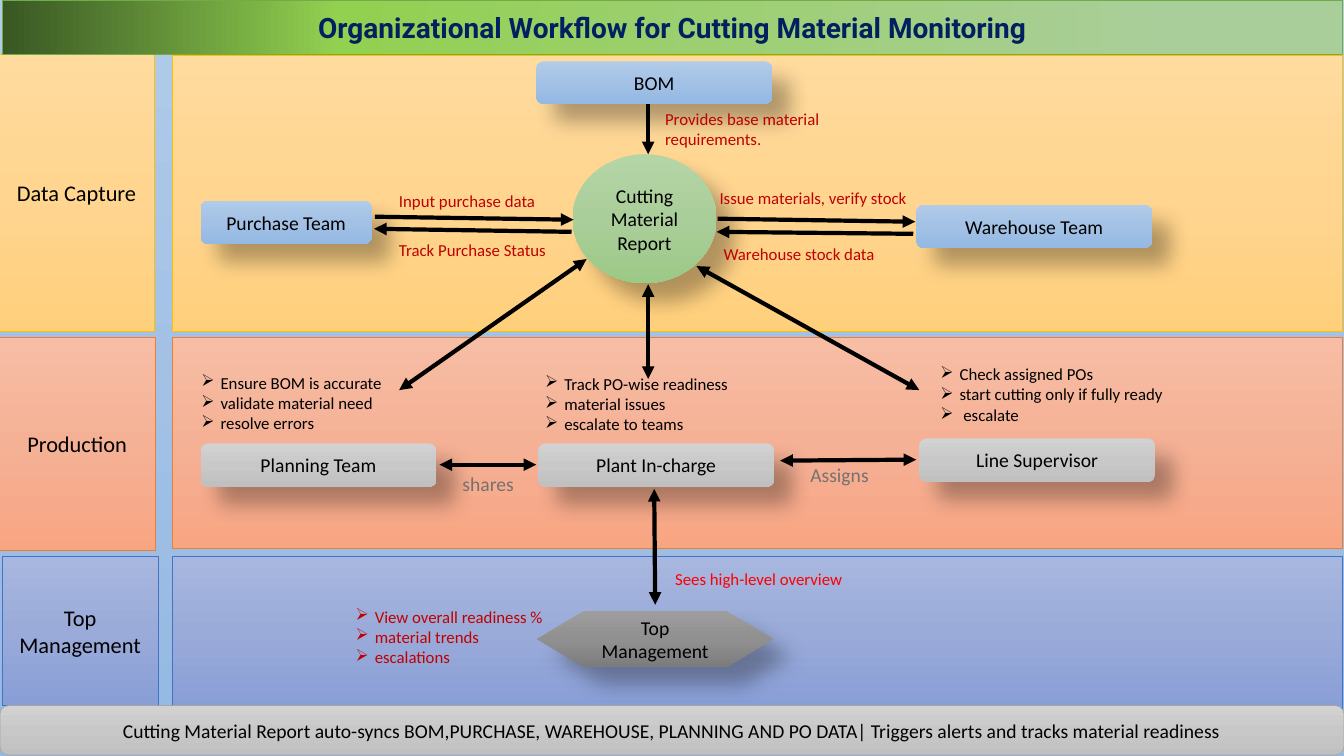
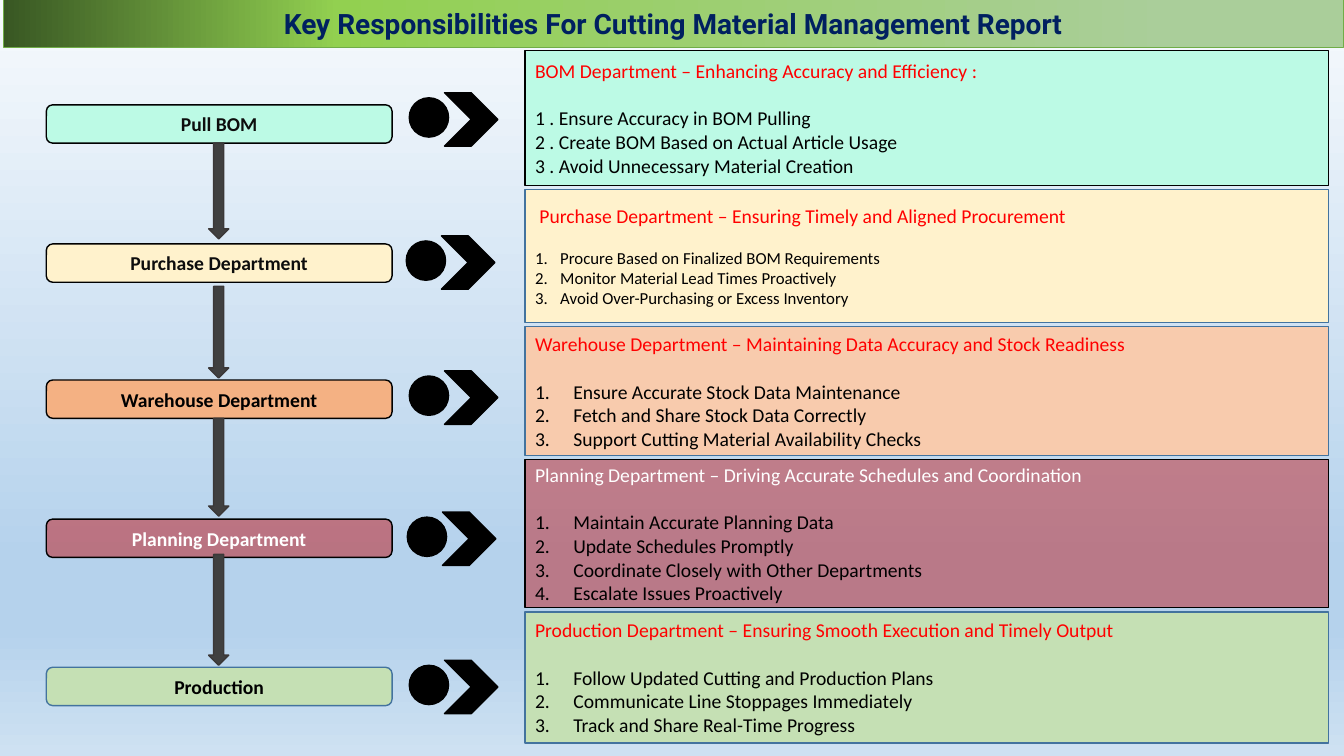
from dataclasses import dataclass

from lxml.etree import SubElement
from pptx import Presentation
from pptx.dml.color import RGBColor
from pptx.enum.shapes import MSO_CONNECTOR, MSO_SHAPE
from pptx.enum.text import MSO_ANCHOR, PP_ALIGN
from pptx.oxml.ns import qn
from pptx.util import Inches, Pt


@dataclass(frozen=True)
class Theme:
    """Colours, gradients, fonts and type sizes of the deck."""
    black: str = "000000"
    ink: str = "0D0D0D"
    white: str = "FFFFFF"
    navy: str = "002060"
    crimson: str = "C00000"
    red: str = "FF0000"
    muted: str = "767171"
    steel: str = "43739E"
    charcoal: str = "404040"
    charcoal_edge: str = "3B3838"
    green_edge: str = "70AD47"
    gold_edge: str = "FFC000"
    orange_edge: str = "ED7D31"
    blue_edge: str = "4472C4"
    grey_edge: str = "A5A5A5"
    mint: str = "BCFAE5"
    cream: str = "FFF2CC"
    orange: str = "F4B183"
    peach: str = "F8CBAD"
    sage: str = "C5E0B4"
    banner: tuple = ((13, "AACE9A"), (75, "92D050"), (100, "385723"))
    sky: tuple = ((0, "F7FAFD"), (74, "B5D2EC"), (83, "B5D2EC"), (100, "CEE1F2"))
    blue: tuple = ((0, "B1CBE9"), (50, "A3C1E5"), (100, "93B9E4"))
    gold: tuple = ((0, "FFDB9E"), (50, "FFD590"), (100, "FFD07C"))
    salmon: tuple = ((0, "F7BDA5"), (50, "F5B196"), (100, "F8A582"))
    indigo: tuple = ((0, "A8B7DF"), (50, "9AABD9"), (100, "889ED7"))
    green: tuple = ((0, "B5D5A7"), (50, "AACE9A"), (100, "9CC987"))
    silver: tuple = ((0, "D2D2D2"), (50, "C8C8C8"), (100, "C0C0C0"))
    grey: tuple = ((0, "9D9D9D"), (50, "909090"), (100, "7C7C7C"))
    body_font: str = "Calibri"
    title_font: str = "Roboto"
    title_size: int = 20
    lane_size: int = 16
    body_size: int = 14
    note_size: int = 12


THEME = Theme()
CELL = 0.1
COLUMNS, ROWS = 133.33, 75


def grid(*cells):
    """Convert grid cells to slide lengths."""
    return [Inches(cell * CELL) for cell in cells]


def assign(target, values):
    """Set each named attribute on the target."""
    for name, value in values.items():
        setattr(target, name, value)


def add_xml(parent, tag, **attributes):
    """Append a drawing element and return it."""
    return SubElement(parent, qn(f"a:{tag}"), {key: str(value) for key, value in attributes.items()})


def paint_gradient(fill, element, stops, angle=90):
    """Fill an element with a clockwise linear gradient."""
    fill.gradient()
    fill.gradient_angle = 360 - angle
    stop_list = next(element.iter(qn("a:gsLst")))
    stop_list.clear()
    for position, colour in stops:
        add_xml(add_xml(stop_list, "gs", pos=position * 1000), "srgbClr", val=colour)


class Deck:
    """Holds the presentation, its style and the current slide."""

    def __init__(self):
        """Start an empty widescreen deck."""
        self.presentation = Presentation()
        width, height = grid(COLUMNS, ROWS)
        assign(self.presentation, {"slide_width": width, "slide_height": height})
        self.slide = None

    def new_slide(self, background):
        """Add a blank slide with a gradient background."""
        self.slide = self.presentation.slides.add_slide(self.presentation.slide_layouts[6])
        paint_gradient(self.slide.background.fill, self.slide.element, background)

    def add_lines(self, frame, lines, size=THEME.body_size, colour=THEME.black, bold=False,
                  font=THEME.body_font, align=PP_ALIGN.LEFT, bullet=None, indent=0.19,
                  gap=0, first=True):
        """Add lines as paragraphs, optionally as a list."""
        for index, line in enumerate(lines):
            paragraph = frame.paragraphs[0] if first and index == 0 else frame.add_paragraph()
            if bullet:
                properties = paragraph._p.get_or_add_pPr()
                properties.set("marL", str(Inches(indent)))
                properties.set("indent", str(-Inches(indent)))
                if bullet == "1.":
                    add_xml(properties, "buAutoNum", type="arabicPeriod")
                else:
                    add_xml(properties, "buChar", char=bullet)
            paragraph.alignment = align
            if gap and index == 0:
                paragraph.space_before = Pt(gap)
            run = paragraph.add_run()
            run.text = line
            assign(run.font, {"name": font, "size": Pt(size), "bold": bold})
            run.font.color.rgb = RGBColor.from_string(colour)

    def shape(self, kind, box, fill, line=None, width=0.5, angle=90, alpha=None,
              shadow=False, lines=(), **style):
        """Add a filled preset shape with centred text."""
        shape = self.slide.shapes.add_shape(kind, *grid(*box))
        shape.shadow.inherit = False
        if isinstance(fill, tuple):
            paint_gradient(shape.fill, shape.element, fill, angle)
        else:
            shape.fill.solid()
            shape.fill.fore_color.rgb = RGBColor.from_string(fill)
            if alpha:
                add_xml(next(shape.element.spPr.iter(qn("a:srgbClr"))), "alpha", val=alpha * 1000)
        if line:
            shape.line.color.rgb = RGBColor.from_string(line)
            shape.line.width = Pt(width)
        else:
            shape.line.fill.background()
        if shadow:
            effects = shape.element.spPr.find(qn("a:effectLst"))
            outer = add_xml(effects, "outerShdw", blurRad=Pt(15), dist=Pt(18),
                            dir=45 * 60000, algn="tl", rotWithShape=0)
            add_xml(add_xml(outer, "srgbClr", val=THEME.black), "alpha", val=30000)
        assign(shape.text_frame, {"word_wrap": True, "vertical_anchor": MSO_ANCHOR.MIDDLE})
        self.add_lines(shape.text_frame, lines, **{"align": PP_ALIGN.CENTER, **style})
        return shape

    def title(self, text, box):
        """Add the green title band."""
        self.shape(MSO_SHAPE.RECTANGLE, box, THEME.banner, THEME.green_edge, angle=180,
                   lines=[text], size=THEME.title_size, colour=THEME.navy, bold=True,
                   font=THEME.title_font)

    def node(self, kind, box, fill, text):
        """Add a shadowed workflow node."""
        self.shape(kind, box, fill, shadow=True, lines=[text])

    def note(self, box, lines, **style):
        """Add a free text box."""
        frame = self.slide.shapes.add_textbox(*grid(*box)).text_frame
        frame.word_wrap = True
        self.add_lines(frame, lines, **{"size": THEME.note_size, **style})

    def table_note(self, box, lines, **style):
        """Add a one-cell table without fill or borders."""
        table = self.slide.shapes.add_table(1, 1, *grid(*box)).table
        assign(table, {"first_row": False, "horz_banding": False})
        cell = table.cell(0, 0)
        cell.vertical_anchor = MSO_ANCHOR.MIDDLE
        properties = cell._tc.get_or_add_tcPr()
        for side in ("lnL", "lnR", "lnT", "lnB"):
            add_xml(add_xml(properties, side, w=0), "noFill")
        cell.fill.background()
        self.add_lines(cell.text_frame, lines, size=THEME.note_size, **style)

    def arrow(self, start, end, both=False):
        """Add a thick arrow with one or two heads."""
        connector = self.slide.shapes.add_connector(MSO_CONNECTOR.STRAIGHT, *grid(*start, *end))
        connector.line.width = Pt(3)
        connector.line.color.rgb = RGBColor.from_string(THEME.black)
        outline = connector.element.spPr.find(qn("a:ln"))
        for tag in ("headEnd", "tailEnd") if both else ("tailEnd",):
            add_xml(outline, tag, type="triangle")
        add_xml(connector.element.spPr, "effectLst")

    def marker(self, left, top):
        """Add a dot followed by a chevron."""
        for kind, box in ((MSO_SHAPE.OVAL, (left - 3.5, top + 0.5, 3.9, 3.9)),
                          (MSO_SHAPE.CHEVRON, (left, top, 5.3, 5.3))):
            self.shape(kind, box, THEME.black, THEME.black, 1)

    def panel(self, box, fill, line, heading, items, colour=THEME.red, alpha=None,
              size=THEME.body_size, **style):
        """Add a department panel with a heading and its duties."""
        shape = self.shape(MSO_SHAPE.RECTANGLE, box, fill, line, 1, alpha=alpha,
                           lines=[heading], colour=colour, align=PP_ALIGN.LEFT)
        self.add_lines(shape.text_frame, items, size=size, gap=round(size * 1.22, 1),
                       first=False, **style)


def build_workflow(deck):
    """Build the swimlane workflow slide."""
    deck.new_slide(THEME.blue)
    lanes = [
        (["Data Capture"], THEME.gold, THEME.gold_edge, (-0.1, 5.4, 15.4, 27.5), (5.5, 27.4)),
        (["Production"], THEME.salmon, THEME.orange_edge, (-0.1, 33.5, 15.5, 21.1), (33.5, 20.9)),
        (["Top", "Management"], THEME.indigo, THEME.blue_edge, (0.2, 55.2, 15.5, 14.8), (55.2, 15.1)),
    ]
    for lines, fill, edge, label, (top, height) in lanes:
        deck.shape(MSO_SHAPE.RECTANGLE, label, fill, edge, lines=lines, size=THEME.lane_size)
        deck.shape(MSO_SHAPE.RECTANGLE, (17.1, top, 116.1, height), fill, edge)
    deck.title("Organizational Workflow for Cutting Material Monitoring", (0.2, 0, 133, 5.4))

    rounded = MSO_SHAPE.ROUNDED_RECTANGLE
    for node in [
        (MSO_SHAPE.OVAL, (56.8, 15.3, 14.3, 12.8), THEME.green, "Cutting Material Report"),
        (rounded, (19.9, 19.9, 17, 4.3), THEME.blue, "Purchase Team"),
        (rounded, (90.9, 20.3, 23.4, 4.3), THEME.blue, "Warehouse Team"),
        (rounded, (53.2, 6.1, 23.4, 4.2), THEME.blue, "BOM"),
        (rounded, (19.9, 44, 23.4, 4.3), THEME.silver, "Planning Team"),
        (rounded, (53.4, 44, 23.4, 4.3), THEME.silver, "Plant In-charge"),
        (rounded, (91.2, 43.5, 23.4, 4.3), THEME.silver, "Line Supervisor"),
        (MSO_SHAPE.FLOWCHART_PREPARATION, (53.3, 60.6, 23.4, 5.6), THEME.grey, "Top Management"),
    ]:
        deck.node(*node)

    for start, end in [
        ((64.3, 28.2), (64.3, 37.6)), ((64.9, 48.5), (65, 60)),
        ((58.2, 25.7), (39.6, 38.7)), ((69.1, 26.4), (91.2, 38.7)),
        ((77.4, 45.7), (90.9, 45.6)), ((43.6, 46.1), (53.2, 46.1)),
    ]:
        deck.arrow(start, end, both=True)
    for start, end in [
        ((64.3, 10.3), (64.3, 15.3)),
        ((37.2, 21.5), (56.9, 21.8)), ((56.7, 23), (37.1, 22.7)),
        ((71.2, 21.7), (90.8, 22)), ((90.6, 23.2), (71.1, 23)),
    ]:
        deck.arrow(start, end)

    for box, text in [
        ((70.4, 18.1, 22, 3), "Issue materials, verify stock"),
        ((38.6, 23.3, 18, 3), "Track Purchase Status"),
        ((38.6, 18.4, 18, 3), "Input purchase data"),
        ((70.8, 23.7, 18, 3), "Warehouse stock data"),
        ((65, 10.3, 19, 5), "Provides base material requirements."),
    ]:
        deck.note(box, [text], colour=THEME.crimson)
    deck.note((66, 55.9, 28.6, 3), ["Sees high-level overview"], colour=THEME.red)
    for box, text in [((79.4, 45.4, 9, 3.4), "Assigns"), ((44.9, 46.3, 8, 3.4), "shares")]:
        deck.note(box, [text], size=THEME.body_size, colour=THEME.muted)

    for box, lines, colour in [
        ((34.3, 59.7, 22.7, 7.1),
         ["View overall readiness %", "material trends", "escalations"], THEME.crimson),
        ((53.1, 36.6, 30.2, 7.1),
         ["Track PO-wise readiness", "material issues", "escalate to teams"], THEME.black),
        ((19, 36.5, 22, 7.1),
         ["Ensure BOM is accurate", "validate material need", "resolve errors"], THEME.black),
    ]:
        deck.note(box, lines, colour=colour, bullet="➢")
    deck.table_note((92.3, 34.5, 33.5, 9.4),
                    ["Check assigned POs", "start cutting only if fully ready", " escalate"],
                    bullet="➢")
    deck.shape(rounded, (0, 70, COLUMNS, 4.9), THEME.silver, THEME.grey_edge, lines=[
        "Cutting Material Report auto-syncs BOM,PURCHASE, WAREHOUSE, PLANNING AND PO DATA"
        "| Triggers alerts and tracks material readiness"])


def build_responsibilities(deck):
    """Build the department responsibilities slide."""
    deck.new_slide(THEME.sky)
    for text, top, fill, edge, style in [
        ("Pull BOM", 10.4, THEME.mint, THEME.black, {"colour": THEME.ink}),
        ("Purchase Department", 24.2, THEME.cream, THEME.black, {"colour": THEME.ink}),
        ("Warehouse Department", 37.7, THEME.orange, THEME.black, {}),
        ("Planning Department", 51.5, THEME.crimson, THEME.black, {"colour": THEME.white, "alpha": 45}),
        ("Production", 66.2, THEME.sage, THEME.steel, {}),
    ]:
        deck.shape(MSO_SHAPE.ROUNDED_RECTANGLE, (4.6, top, 34.3, 3.8), fill, edge, 1,
                   lines=[text], bold=True, **style)
    for top, height in [(14.2, 9.5), (28.4, 9.1), (41.5, 9.7), (55, 11)]:
        deck.shape(MSO_SHAPE.DOWN_ARROW, (20.7, top, 2, height), THEME.charcoal,
                   THEME.charcoal_edge, 1)
    for left, top in [(44.1, 9.2), (43.8, 23.4), (44.1, 36.8), (43.9, 50.8), (44.1, 65.5)]:
        deck.marker(left, top)

    numbered = {"bullet": "1.", "indent": 0.38}
    top = 5
    for height, fill, edge, heading, items, style in [
        (13.4, THEME.mint, THEME.black, "BOM Department – Enhancing Accuracy and Efficiency :",
         ["1 . Ensure Accuracy in BOM Pulling", "2 . Create BOM Based on Actual Article Usage",
          "3 . Avoid Unnecessary Material Creation"], {}),
        (13.2, THEME.cream, THEME.steel,
         " Purchase Department – Ensuring Timely and Aligned Procurement",
         ["Procure Based on Finalized BOM Requirements", "Monitor Material Lead Times Proactively",
          "Avoid Over-Purchasing or Excess Inventory"],
         {"bullet": "1.", "indent": 0.25, "size": THEME.note_size}),
        (12.8, THEME.peach, THEME.steel,
         "Warehouse Department – Maintaining Data Accuracy and Stock Readiness",
         ["Ensure Accurate Stock Data Maintenance", "Fetch and Share Stock Data Correctly",
          "Support Cutting Material Availability Checks"], numbered),
        (14.7, THEME.crimson, THEME.black,
         "Planning Department – Driving Accurate Schedules and Coordination",
         ["Maintain Accurate Planning Data", "Update Schedules Promptly",
          "Coordinate Closely with Other Departments", "Escalate Issues Proactively"],
         {**numbered, "colour": THEME.white, "alpha": 42}),
        (13, THEME.sage, THEME.steel,
         "Production Department – Ensuring Smooth Execution and Timely Output",
         ["Follow Updated Cutting and Production Plans", "Communicate Line Stoppages Immediately",
          "Track and Share Real-Time Progress"], numbered),
    ]:
        deck.panel((52.1, top, 79.7, height), fill, edge, heading, items, **style)
        top += height + 0.4
    deck.title("Key Responsibilities For Cutting Material Management Report", (0.3, -0.1, 133, 4.8))


def main():
    """Build and save the deck."""
    deck = Deck()
    build_workflow(deck)
    build_responsibilities(deck)
    deck.presentation.save("out.pptx")


if __name__ == "__main__":
    main()
